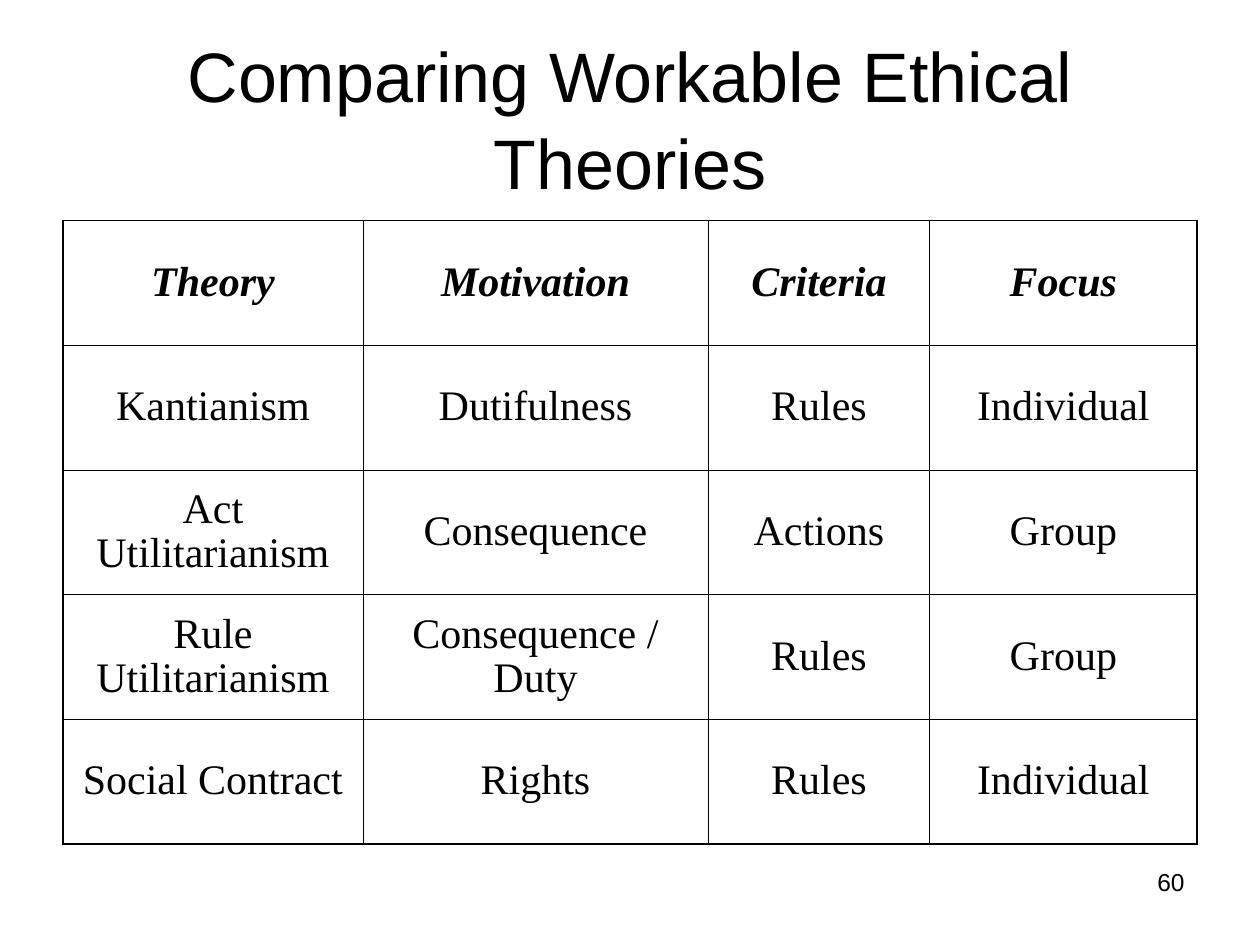
from pptx import Presentation
from pptx.dml.color import RGBColor
from pptx.enum.text import MSO_ANCHOR, PP_ALIGN
from pptx.oxml.ns import qn
from pptx.util import Inches, Pt
from lxml.etree import SubElement

TITLE = "Comparing Workable Ethical Theories"
NUMBER = "60"
ROWS = [
    ("Theory", "Motivation", "Criteria", "Focus"),
    ("Kantianism", "Dutifulness", "Rules", "Individual"),
    ("Act Utilitarianism", "Consequence", "Actions", "Group"),
    ("Rule Utilitarianism", "Consequence / Duty", "Rules", "Group"),
    ("Social Contract", "Rights", "Rules", "Individual"),
]
COL_WIDTHS = [2.38, 2.74, 1.76, 2.12]
ROW_HEIGHT = 0.99
INNER, OUTER = 0.45, 1.08
COLORS = {"ink": "000000", "paper": "FFFFFF"}


def style(p, size, font, align, bold=False, italic=False):
    p.alignment = align
    for r in p.runs:
        r.font.size = Pt(size)
        r.font.name = font
        r.font.bold = bold
        r.font.italic = italic
        r.font.color.rgb = RGBColor.from_string(COLORS["ink"])


def set_borders(cell, widths):
    tc_pr = cell._tc.get_or_add_tcPr()
    for i, (side, width) in enumerate(widths.items()):
        ln = SubElement(tc_pr, qn(f"a:{side}"), w=str(int(Pt(width))))
        fill = SubElement(ln, qn("a:solidFill"))
        SubElement(fill, qn("a:srgbClr"), val=COLORS["ink"])
        tc_pr.insert(i, ln)


def add_title(s):
    title = s.shapes.title
    title.left, title.top = Inches(0.5), Inches(0.3)
    title.width, title.height = Inches(9), Inches(1.25)
    tf = title.text_frame
    tf.text = TITLE
    tf.word_wrap = True
    tf.vertical_anchor = MSO_ANCHOR.MIDDLE
    tf.margin_left = tf.margin_right = tf.margin_top = tf.margin_bottom = 0
    tf.paragraphs[0].line_spacing = 1.04
    style(tf.paragraphs[0], 40, "Arial", PP_ALIGN.CENTER)


def add_theories(s):
    n_rows, n_cols = len(ROWS), len(COL_WIDTHS)
    table = s.shapes.add_table(
        n_rows, n_cols, Inches(0.5), Inches(1.75),
        Inches(sum(COL_WIDTHS)), Inches(ROW_HEIGHT * n_rows)).table
    table.horz_banding = False
    for col, width in zip(table.columns, COL_WIDTHS):
        col.width = Inches(width)
    for i, row in enumerate(ROWS):
        table.rows[i].height = Inches(ROW_HEIGHT)
        for j, text in enumerate(row):
            cell = table.cell(i, j)
            cell.text = text
            cell.vertical_anchor = MSO_ANCHOR.MIDDLE
            cell.fill.solid()
            cell.fill.fore_color.rgb = RGBColor.from_string(COLORS["paper"])
            p = cell.text_frame.paragraphs[0]
            p.line_spacing = 0.95
            style(p, 24, "Times New Roman", PP_ALIGN.CENTER, i == 0, i == 0)
            edges = {"lnL": j == 0, "lnR": j == n_cols - 1,
                     "lnT": i == 0, "lnB": i == n_rows - 1}
            set_borders(cell, {side: OUTER if edge else INNER
                               for side, edge in edges.items()})


def add_number(s):
    box = s.shapes.add_textbox(Inches(7.17), Inches(6.83), Inches(2.33), Inches(0.52))
    tf = box.text_frame
    tf.word_wrap = True
    tf.text = NUMBER
    style(tf.paragraphs[0], 14, "Arial", PP_ALIGN.RIGHT)


def main():
    prs = Presentation()
    prs.slide_width, prs.slide_height = Inches(10), Inches(7.5)
    s = prs.slides.add_slide(prs.slide_layouts[5])
    add_number(s)
    add_title(s)
    add_theories(s)
    prs.save("out.pptx")


if __name__ == "__main__":
    main()
